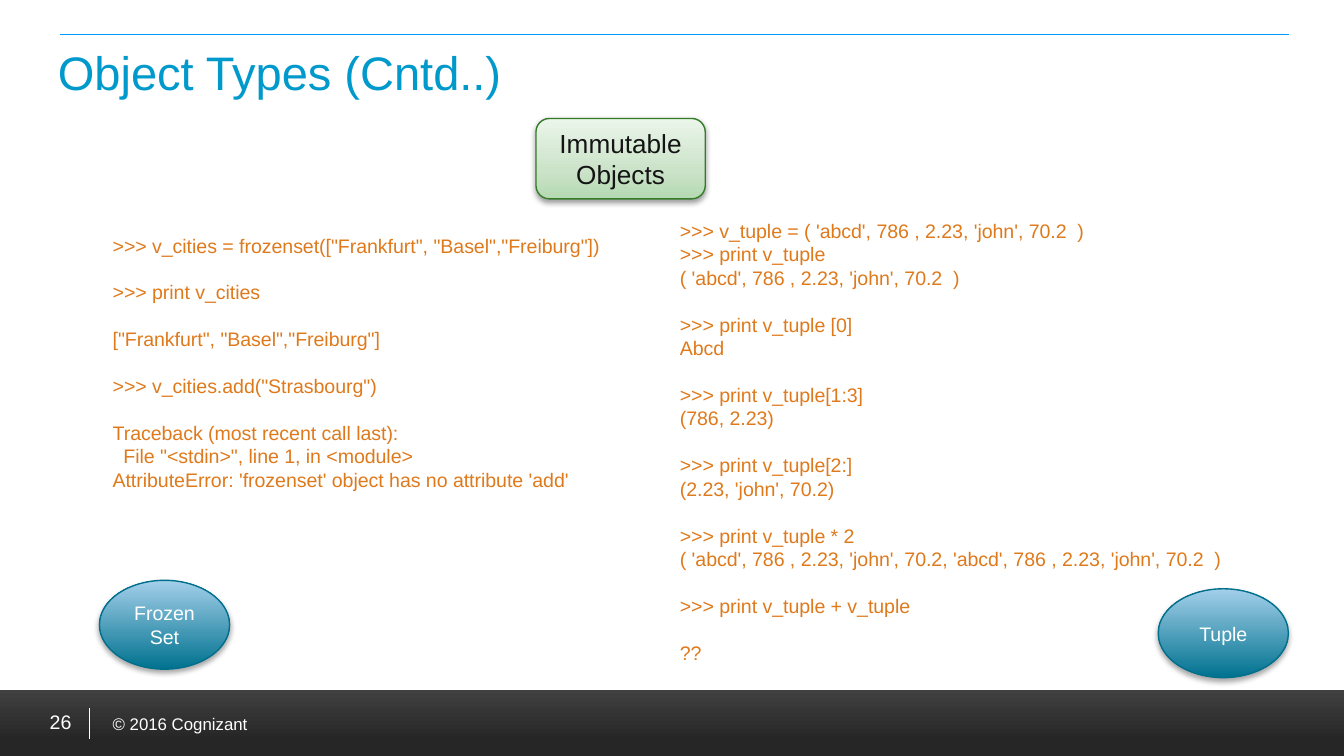
from typing import NamedTuple

from lxml.etree import SubElement
from pptx import Presentation
from pptx.dml.color import RGBColor
from pptx.enum.shapes import MSO_CONNECTOR, MSO_SHAPE
from pptx.enum.text import MSO_ANCHOR, PP_ALIGN
from pptx.oxml.ns import qn
from pptx.util import Cm, Pt

FONT = "Arial"
WHITE, ORANGE, TEAL = "FFFFFF", "DF7A1C", "0099CC"
CODE_SIZE = 10.5
CODE_GAP = 12.5  # one empty line between code groups


class Box(NamedTuple):
    left: float
    top: float
    width: float
    height: float

    def lengths(self) -> list:
        return [Cm(value) for value in self]


class Badge(NamedTuple):
    lines: list
    box: Box
    preset: MSO_SHAPE
    stops: list
    outline: str
    shadow: tuple  # opacity in percent, distance in points
    size: float = CODE_SIZE
    color: str = WHITE


class Listing(NamedTuple):
    box: Box
    groups: list


ELLIPSE_STOPS = [(0, "00728F"), (100, "A3CFEA")]
ELLIPSE_STYLE = (MSO_SHAPE.OVAL, ELLIPSE_STOPS, "006F8C", (35, 1.8))

BADGES = [
    Badge(["Tuple"], Box(21.89, 11.13, 2.46, 1.68), *ELLIPSE_STYLE),
    Badge(["Frozen Set"], Box(1.88, 10.97, 2.46, 1.68), *ELLIPSE_STYLE),
    Badge(["Immutable", "Objects"], Box(10.13, 2.24, 3.2, 1.52),
          MSO_SHAPE.ROUNDED_RECTANGLE,
          [(0, "B4D9B1"), (35, "CBE3C9"), (100, "EBF5EA")],
          "357B29", (38, 1.6), 14, "141414"),
]

LISTINGS = [
    Listing(Box(12.6, 4.01, 11.76, 8.79), [
        [">>> v_tuple = ( 'abcd', 786 , 2.23, 'john', 70.2  )",
         ">>> print v_tuple",
         "( 'abcd', 786 , 2.23, 'john', 70.2  )"],
        [">>> print v_tuple [0]", "Abcd"],
        [">>> print v_tuple[1:3]", "(786, 2.23)"],
        [">>> print v_tuple[2:]", "(2.23, 'john', 70.2)"],
        [">>> print v_tuple * 2",
         "( 'abcd', 786 , 2.23, 'john', 70.2, 'abcd', 786 , 2.23, 'john', 70.2  )"],
        [">>> print v_tuple + v_tuple"],
        ["??"],
    ]),
    Listing(Box(1.88, 4.29, 10.97, 5.18), [
        ['>>> v_cities = frozenset(["Frankfurt", "Basel","Freiburg"])'],
        [">>> print v_cities"],
        ['["Frankfurt", "Basel","Freiburg"]'],
        ['>>> v_cities.add("Strasbourg")'],
        ["Traceback (most recent call last):",
         '  File "<stdin>", line 1, in <module>',
         "AttributeError: 'frozenset' object has no attribute 'add'"],
    ]),
]


def rgb(value: str) -> RGBColor:
    return RGBColor.from_string(value)


def write(frame, groups: list, *, size: float, color: str,
          align=PP_ALIGN.LEFT, anchor=MSO_ANCHOR.TOP, gap: float = 0) -> None:
    """Write groups of lines, with a gap before every group but the first."""
    frame.word_wrap = True
    frame.vertical_anchor = anchor
    paragraph = None
    for group_index, group in enumerate(groups):
        for line_index, line in enumerate(group):
            paragraph = frame.add_paragraph() if paragraph else frame.paragraphs[0]
            starts_group = group_index > 0 and line_index == 0
            paragraph.space_before = Pt(gap if starts_group else 0)
            paragraph.alignment = align
            run = paragraph.add_run()
            run.text = line
            run.font.name, run.font.size = FONT, Pt(size)
            run.font.color.rgb = rgb(color)


def add_text(slide, box: Box, groups: list, **text_format) -> None:
    write(slide.shapes.add_textbox(*box.lengths()).text_frame, groups, **text_format)


def fill_upward(shape, stops: list) -> None:
    """Fill with a gradient that runs from bottom to top."""
    shape.fill.gradient()
    shape.fill.gradient_angle = 90
    stop_list = shape._element.spPr.find(".//" + qn("a:gsLst"))
    for stop in list(stop_list):
        stop_list.remove(stop)
    for position, color in stops:
        stop = SubElement(stop_list, qn("a:gs"), pos=str(position * 1000))
        SubElement(stop, qn("a:srgbClr"), val=color)


def add_rule(slide, start: tuple, end: tuple, color: str) -> None:
    rule = slide.shapes.add_connector(
        MSO_CONNECTOR.STRAIGHT, *[Cm(value) for value in start + end])
    rule.line.color.rgb = rgb(color)
    rule.line.width = Pt(0.5)
    SubElement(rule._element.spPr, qn("a:effectLst"))


def add_badge(slide, badge: Badge) -> None:
    shape = slide.shapes.add_shape(badge.preset, *badge.box.lengths())
    fill_upward(shape, badge.stops)
    shape.line.color.rgb = rgb(badge.outline)
    shape.line.width = Pt(0.75)
    # Soft shadow straight below the shape
    shape.shadow.inherit = False
    opacity, distance = badge.shadow
    shadow = SubElement(
        shape._element.spPr.find(qn("a:effectLst")), qn("a:outerShdw"),
        blurRad=str(Pt(3.1)), dist=str(Pt(distance)), dir="5400000", rotWithShape="0")
    shade = SubElement(shadow, qn("a:srgbClr"), val="000000")
    SubElement(shade, qn("a:alpha"), val=str(opacity * 1000))
    write(shape.text_frame, [badge.lines], size=badge.size, color=badge.color,
          align=PP_ALIGN.CENTER, anchor=MSO_ANCHOR.MIDDLE)


def add_footer(slide) -> None:
    band = slide.shapes.add_shape(
        MSO_SHAPE.RECTANGLE, *Box(0, 13.05, 25.4, 1.24).lengths())
    fill_upward(band, [(24, "262626"), (100, "404040")])
    band.line.fill.background()
    band.shadow.inherit = False
    add_text(slide, Box(1.88, 13.36, 5.33, 0.64), [["© 2016 Cognizant"]],
             size=9, color=WHITE)
    add_rule(slide, (1.7, 13.39), (1.7, 13.97), WHITE)
    add_text(slide, Box(0.1, 13.13, 1.5, 1.04), [["26"]], size=10.5, color=WHITE,
             align=PP_ALIGN.RIGHT, anchor=MSO_ANCHOR.MIDDLE)


def main() -> None:
    deck = Presentation()
    deck.slide_width, deck.slide_height = Cm(25.4), Cm(14.29)
    slide = deck.slides.add_slide(deck.slide_layouts[5])

    # Footer and top rule
    add_footer(slide)
    add_rule(slide, (1.14, 0.66), (24.36, 0.66), "0099FF")

    # Title
    title = slide.shapes.title
    title.left, title.top, title.width, title.height = Box(
        0.84, 0.69, 23.52, 1.27).lengths()
    write(title.text_frame, [["Object Types (Cntd..)"]], size=25.2, color=TEAL)

    # Code listings and their badges
    for listing in LISTINGS:
        add_text(slide, listing.box, listing.groups,
                 size=CODE_SIZE, color=ORANGE, gap=CODE_GAP)
    for badge in BADGES:
        add_badge(slide, badge)

    deck.save("out.pptx")


if __name__ == "__main__":
    main()
